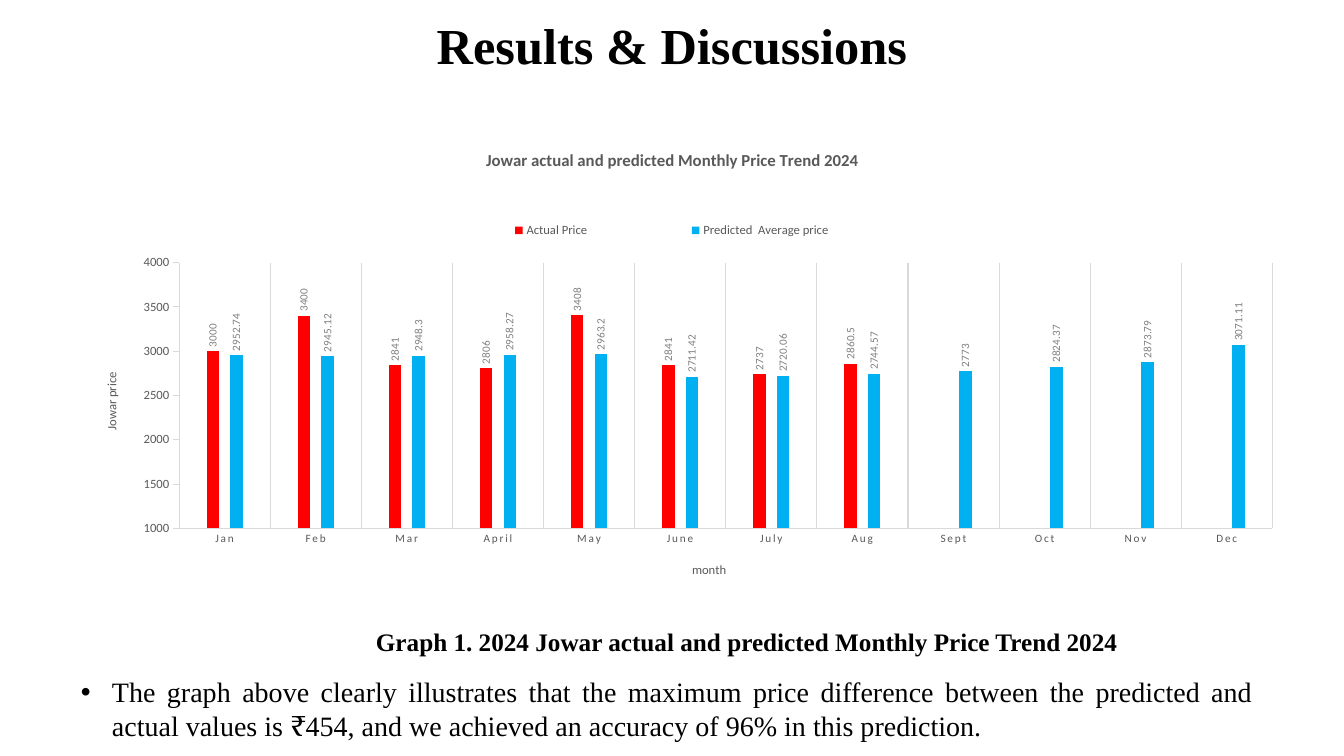
from dataclasses import dataclass
from typing import Optional

from lxml import etree
from pptx import Presentation
from pptx import util as u
from pptx.chart import data as chart_data
from pptx.dml.color import RGBColor
from pptx.enum import chart as chart_enum
from pptx.enum import text
from pptx.oxml.ns import qn

EMU_PER_PX = 914400 / 100.8
SERIF, SANS = "Times New Roman", "Calibri"
BLACK, DARK_GREY, GREY, PALE_GREY = "000000", "595959", "808080", "D9D9D9"
UPWARD = "-5400000"
MONTHS = ["Jan", "Feb", "Mar", "April", "May", "June",
          "July", "Aug", "Sept", "Oct", "Nov", "Dec"]


@dataclass(frozen=True)
class Box:
    left: int
    top: int
    width: int
    height: int


@dataclass(frozen=True)
class TextStyle:
    size: int
    color: str
    font: str = SANS
    bold: bool = False


@dataclass(frozen=True)
class PriceSeries:
    name: str
    color: str
    values: list[Optional[float]]


PRICES = [
    PriceSeries("Actual Price", "FF0000",
                [3000, 3400, 2841, 2806, 3408, 2841, 2737, 2860.5] + [None] * 4),
    PriceSeries("Predicted  Average price", "00B0F0",
                [2952.74, 2945.12, 2948.3, 2958.27, 2963.2, 2711.42,
                 2720.06, 2744.57, 2773, 2824.37, 2873.79, 3071.11]),
]
AXIS_TITLE = TextStyle(9, DARK_GREY)


def px(length: int) -> u.Emu:
    return u.Emu(round(length * EMU_PER_PX))


def rgb(color: str) -> RGBColor:
    return RGBColor.from_string(color)


def place(shape, box: Box) -> None:
    shape.left, shape.top = px(box.left), px(box.top)
    shape.width, shape.height = px(box.width), px(box.height)


def style_font(font, style: TextStyle) -> None:
    font.size, font.name, font.bold = u.Pt(style.size), style.font, style.bold
    font.color.rgb = rgb(style.color)


def write(paragraph, words: str, style: TextStyle) -> None:
    run = paragraph.add_run()
    run.text = words
    style_font(run.font, style)


def add_text(slide, box: Box, words: str, style: TextStyle):
    shape = slide.shapes.add_textbox(0, 0, 0, 0)
    place(shape, box)
    shape.text_frame.word_wrap = True
    paragraph = shape.text_frame.paragraphs[0]
    write(paragraph, words, style)
    return paragraph


def add_bullet(paragraph, indent: int) -> None:
    properties = paragraph._p.get_or_add_pPr()
    properties.set("marL", str(px(indent)))
    properties.set("indent", str(-px(indent)))
    etree.SubElement(properties, qn("a:buFont")).set("typeface", "Arial")
    etree.SubElement(properties, qn("a:buChar")).set("char", "•")


def set_layout(element, **fractions: float) -> None:
    """Fix a chart part at fractions (x, y, w, h) of the chart area."""
    layout = element.find(qn("c:layout"))
    if layout is None:
        layout = etree.Element(qn("c:layout"))
        overlay = element.find(qn("c:overlay"))
        if overlay is None:
            element.insert(0, layout)
        else:
            overlay.addprevious(layout)
    manual = etree.SubElement(layout, qn("c:manualLayout"))
    if element.tag == qn("c:plotArea"):
        etree.SubElement(manual, qn("c:layoutTarget")).set("val", "inner")
    for key in ("x", "y"):
        etree.SubElement(manual, qn(f"c:{key}Mode")).set("val", "edge")
    for key, value in fractions.items():
        etree.SubElement(manual, qn(f"c:{key}")).set("val", str(value))


def turn_text(element) -> None:
    for body in element.iter(qn("a:bodyPr")):
        body.set("rot", UPWARD)
        body.set("vert", "horz")


def write_chart_title(title, words: str, style: TextStyle, x: float, y: float) -> None:
    write(title.text_frame.paragraphs[0], words, style)
    set_layout(title._element, x=x, y=y)


def style_line(line) -> None:
    line.color.rgb = rgb(PALE_GREY)
    line.width = u.Pt(0.75)


def style_axes(chart) -> None:
    months, prices = chart.category_axis, chart.value_axis
    months.has_major_gridlines, prices.has_major_gridlines = True, False
    months.major_tick_mark = chart_enum.XL_TICK_MARK.NONE
    prices.major_tick_mark = chart_enum.XL_TICK_MARK.OUTSIDE
    prices.minimum_scale, prices.maximum_scale, prices.major_unit = 1000, 4000, 500
    style_line(months.major_gridlines.format.line)
    for axis, size in ((months, 8), (prices, 9)):
        style_font(axis.tick_labels.font, TextStyle(size, DARK_GREY))
        style_line(axis.format.line)
    for properties in months._element.find(qn("c:txPr")).iter(qn("a:defRPr")):
        properties.set("spc", "120")
    write_chart_title(months.axis_title, "month", AXIS_TITLE, 0.515, 0.895)
    write_chart_title(prices.axis_title, "Jowar price", AXIS_TITLE, 0.025, 0.505)
    turn_text(prices.axis_title._element)


def style_series(series, price: PriceSeries) -> None:
    series.format.fill.solid()
    series.format.fill.fore_color.rgb = rgb(price.color)
    series.invert_if_negative = False
    labels = series.data_labels
    labels.show_value = True
    labels.position = chart_enum.XL_LABEL_POSITION.OUTSIDE_END
    style_font(labels.font, TextStyle(8, GREY))
    turn_text(labels._element)


def add_price_chart(slide, box: Box) -> None:
    table = chart_data.CategoryChartData()
    table.categories = MONTHS
    for price in PRICES:
        table.add_series(price.name, price.values)
    frame = slide.shapes.add_chart(
        chart_enum.XL_CHART_TYPE.COLUMN_CLUSTERED, 0, 0, px(box.width), px(box.height), table)
    place(frame, box)
    chart = frame.chart
    style_font(chart.font, TextStyle(10, BLACK))
    write_chart_title(chart.chart_title, "Jowar actual and predicted Monthly Price Trend 2024",
                      TextStyle(12, DARK_GREY, bold=True), 0.343, 0.043)
    chart.has_legend = True
    chart.legend.position = chart_enum.XL_LEGEND_POSITION.TOP
    chart.legend.include_in_layout = False
    style_font(chart.legend.font, TextStyle(9, DARK_GREY))
    set_layout(chart.legend._element, x=0.286, y=0.19, w=0.428, h=0.055)
    set_layout(chart._chartSpace.chart.plotArea, x=0.09, y=0.284, w=0.91, h=0.548)
    plot = chart.plots[0]
    plot.gap_width, plot.overlap, plot.vary_by_categories = 444, -90, False
    style_axes(chart)
    for series, price in zip(plot.series, PRICES):
        style_series(series, price)


def main() -> None:
    presentation = Presentation()
    presentation.slide_width, presentation.slide_height = px(1344), px(756)
    slide = presentation.slides.add_slide(presentation.slide_layouts[5])

    title = slide.shapes.title
    place(title, Box(37, 8, 1270, 72))
    title.text_frame.vertical_anchor = text.MSO_ANCHOR.MIDDLE
    heading = title.text_frame.paragraphs[0]
    heading.alignment = text.PP_ALIGN.CENTER
    write(heading, "Results & Discussions", TextStyle(36, BLACK, SERIF, True))

    add_price_chart(slide, Box(71, 125, 1202, 485))
    add_text(slide, Box(366, 621, 822, 72),
             "Graph 1. 2024 Jowar actual and predicted Monthly Price Trend 2024",
             TextStyle(18, BLACK, SERIF, True))
    finding = add_text(
        slide, Box(71, 670, 1192, 78),
        "The graph above clearly illustrates that the maximum price difference between the "
        "predicted and actual values is ₹454, and we achieved an accuracy of 96% in this "
        "prediction.", TextStyle(20, BLACK, SERIF))
    finding.alignment = text.PP_ALIGN.JUSTIFY
    add_bullet(finding, 31)
    presentation.save("out.pptx")


if __name__ == "__main__":
    main()
